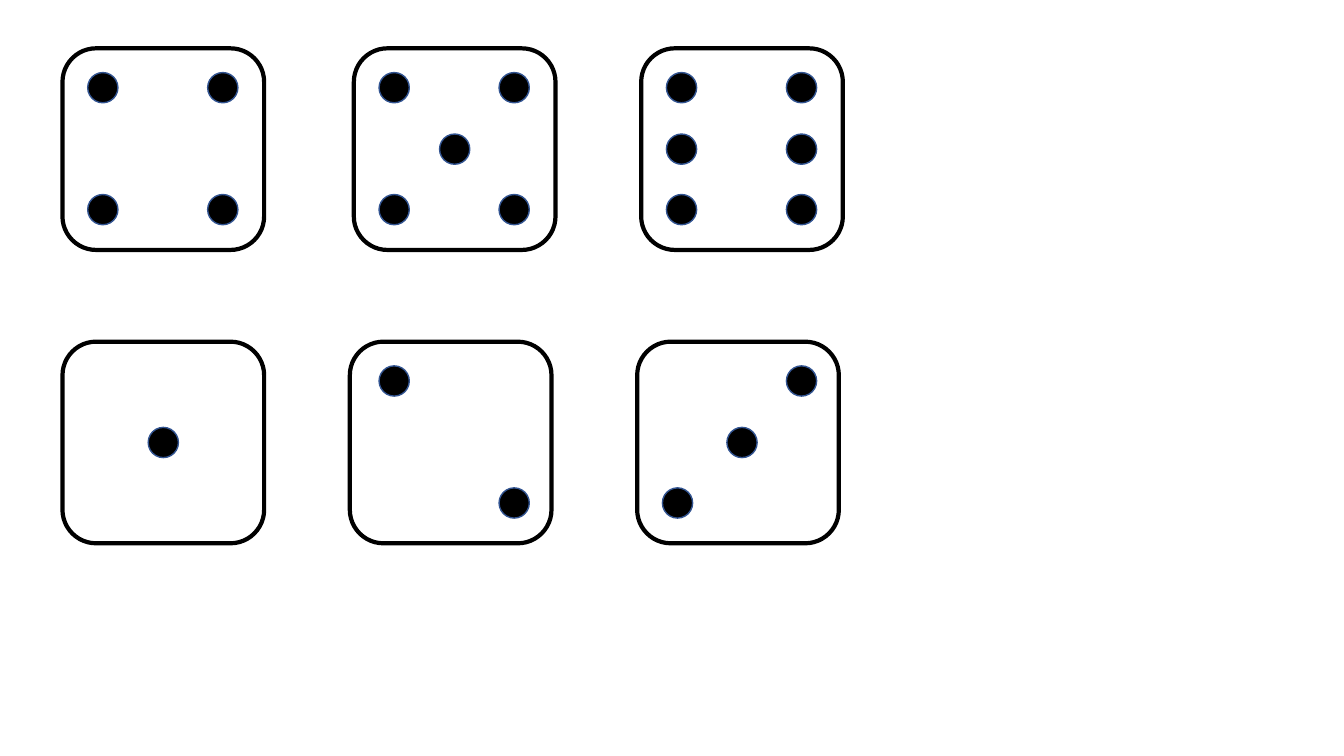
from pptx import Presentation
from pptx.dml.color import RGBColor
from pptx.enum.shapes import MSO_SHAPE
from pptx.util import Inches, Pt

INK = {"face": "FFFFFF", "edge": "000000", "pip": "000000", "rim": "325491"}
SIDE, DOT = 2, 0.3
TOPS = (0.48, 3.39)
ROWS = (0.24, 0.85, 1.45)
EVEN = (0.25, 0.85, 1.44)

DICE = [
    (0.62, 0, EVEN, ["x.x", "...", "x.x"]),
    (3.51, 0, EVEN, ["x.x", ".x.", "x.x"]),
    (6.36, 0, EVEN, ["x.x", "x.x", "x.x"]),
    (0.62, 1, EVEN, ["...", ".x.", "..."]),
    (3.47, 1, (0.29, 0.89, 1.48), ["x..", "...", "..x"]),
    (6.32, 1, (0.25, 0.89, 1.48), ["..x", ".x.", "x.."]),
]

deck = Presentation()
deck.slide_width, deck.slide_height = Inches(13.33), Inches(7.5)
slide = deck.slides.add_slide(deck.slide_layouts[6])


def draw(group, kind, left, top, size, fill, line, width):
    shape = group.shapes.add_shape(
        kind, Inches(left), Inches(top), Inches(size), Inches(size))
    shape.shadow.inherit = False
    shape.fill.solid()
    shape.fill.fore_color.rgb = RGBColor.from_string(INK[fill])
    shape.line.color.rgb = RGBColor.from_string(INK[line])
    shape.line.width = Pt(width)


for left, row, cols, marks in DICE:
    top = TOPS[row]
    die = slide.shapes.add_group_shape()
    draw(die, MSO_SHAPE.ROUNDED_RECTANGLE, left, top, SIDE, "face", "edge", 3)
    for y, line in zip(ROWS, marks):
        for x, mark in zip(cols, line):
            if mark == "x":
                draw(die, MSO_SHAPE.OVAL, left + x, top + y, DOT, "pip", "rim", 1)

deck.save("out.pptx")
